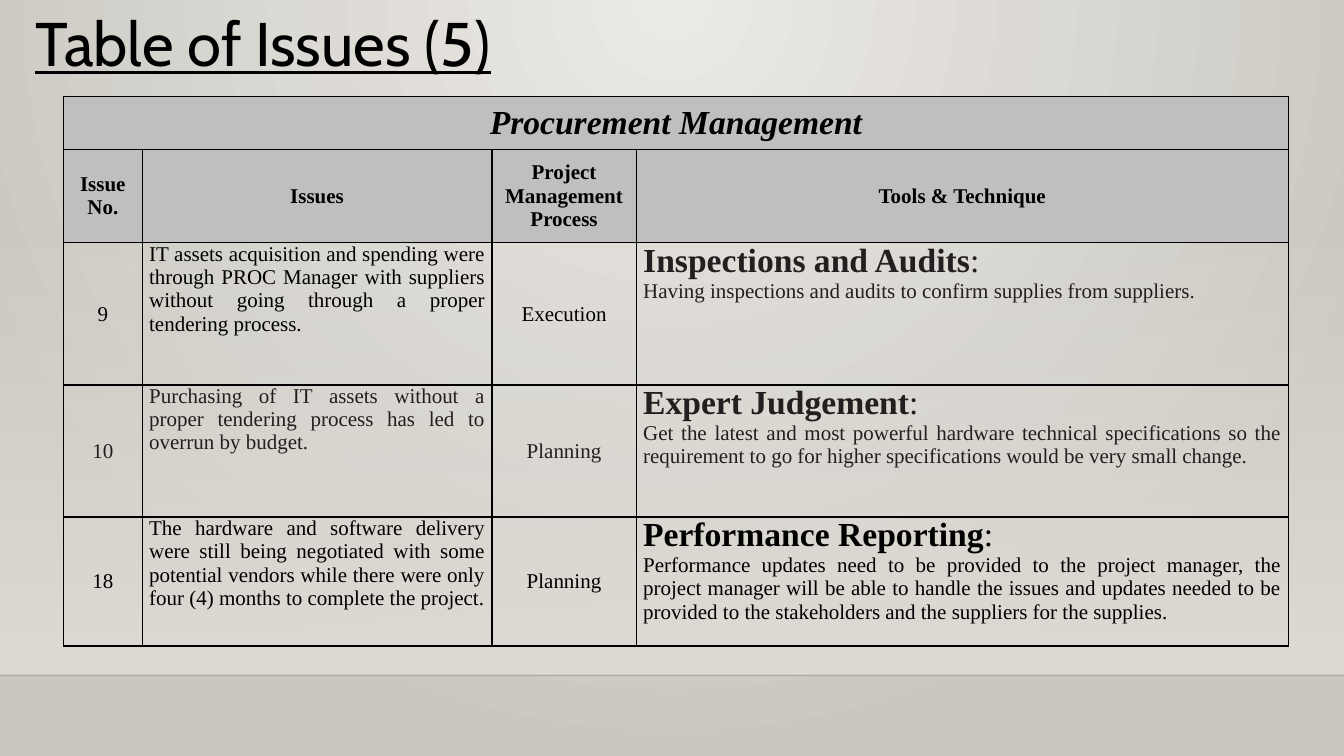
from lxml import etree
from pptx import Presentation
from pptx import util as u
from pptx.dml.color import RGBColor
from pptx.enum import shapes, text
from pptx.oxml import parse_xml
from pptx.oxml.ns import nsdecls, qn

BLACK = RGBColor(0x00, 0x00, 0x00)
CHARCOAL = RGBColor(0x23, 0x1F, 0x20)
HEADER_GREY = RGBColor(0xBF, 0xBF, 0xBF)
PALE = RGBColor(0xEC, 0xEA, 0xE7)
STONE = RGBColor(0xCA, 0xC7, 0xC1)
WALL = RGBColor(0xDF, 0xDB, 0xD5)
FLOOR_LINE = RGBColor(0x00, 0x00, 0x01)

BODY_FONT, TITLE_FONT = "Times New Roman", "Cabin"
BODY_SIZE, HEADING_SIZE, TITLE_SIZE = 15, 24, 44
WIDTH, HEIGHT = u.Inches(13.33), u.Inches(7.5)
FLOOR = u.Inches(6.7)

# Table grid, in inches
COLUMNS = [0.78, 3.47, 1.43, 6.47]
ROWS = [0.52, 0.93, 1.41, 1.31, 1.28]

SECTION = "Procurement Management"
HEADERS = ["Issue No.", "Issues", "Project Management Process", "Tools & Technique"]
# Number, issue, process, technique, explanation, main colour, technique colour
ISSUES = [
    ("9",
     "IT assets acquisition and spending were through PROC Manager with suppliers "
     "without going through a proper tendering process.",
     "Execution", "Inspections and Audits",
     "Having inspections and audits to confirm supplies from suppliers.",
     BLACK, CHARCOAL),
    ("10",
     "Purchasing of IT assets without a proper tendering process has led to "
     "overrun by budget.",
     "Planning", "Expert Judgement",
     "Get the latest and most powerful hardware technical specifications so the "
     "requirement to go for higher specifications would be very small change.",
     CHARCOAL, CHARCOAL),
    ("18",
     "The hardware and software delivery were still being negotiated with some "
     "potential vendors while there were only four (4) months to complete the project.",
     "Planning", "Performance Reporting",
     "Performance updates need to be provided to the project manager, the project "
     "manager will be able to handle the issues and updates needed to be provided "
     "to the stakeholders and the suppliers for the supplies.",
     BLACK, BLACK),
]


def set_gradient(fill, owner, stops, direction):
    """Fill with (position %, colour, opacity %) stops along the given direction."""
    fill.solid()
    stop_xml = "".join(
        f'<a:gs pos="{position * 1000}"><a:srgbClr val="{color}">'
        f'<a:alpha val="{opacity * 1000}"/></a:srgbClr></a:gs>'
        for position, color, opacity in stops)
    gradient = parse_xml(f'<a:gradFill {nsdecls("a")} rotWithShape="1">'
                         f'<a:gsLst>{stop_xml}</a:gsLst>{direction}</a:gradFill>')
    solid = next(owner.iter(qn("a:solidFill")))
    solid.getparent().replace(solid, gradient)


def add_backdrop(slide):
    glow = ('<a:path path="circle"><a:fillToRect l="43000" t="0" r="43000" '
            'b="100000"/></a:path>')
    set_gradient(slide.background.fill, slide.element.cSld,
                 [(0, PALE, 100), (100, STONE, 100)], glow)

    wall_top = u.Inches(2.21)
    wall = slide.shapes.add_shape(shapes.MSO_SHAPE.RECTANGLE, 0, wall_top,
                                  WIDTH, FLOOR - wall_top)
    wall.shadow.inherit = False
    wall.line.fill.background()
    set_gradient(wall.fill, wall.element.spPr,
                 [(0, WALL, 0), (100, WALL, 100)], '<a:lin ang="5400000" scaled="0"/>')

    floor = slide.shapes.add_connector(shapes.MSO_CONNECTOR.STRAIGHT,
                                       0, FLOOR, WIDTH, FLOOR)
    floor.line.color.rgb = FLOOR_LINE
    floor.line.width = u.Pt(1)
    floor_color = next(floor.element.spPr.iter(qn("a:srgbClr")))
    etree.SubElement(floor_color, qn("a:alpha"), val="20000")
    etree.SubElement(floor.element.spPr, qn("a:effectLst"))


def style_run(run, color, size=BODY_SIZE, bold=False, italic=False, font=BODY_FONT):
    run.font.name, run.font.size = font, u.Pt(size)
    run.font.bold, run.font.italic = bold, italic
    run.font.color.rgb = color


def add_title(slide, wording):
    title = slide.shapes.add_textbox(u.Inches(0.25), 0, u.Inches(11.16), u.Inches(0.84))
    frame = title.text_frame
    frame.word_wrap = True
    frame.auto_size = text.MSO_AUTO_SIZE.SHAPE_TO_FIT_TEXT
    frame.text = wording
    run = frame.paragraphs[0].runs[0]
    style_run(run, BLACK, TITLE_SIZE, font=TITLE_FONT)
    run.font.underline = True


def frame_cell(cell):
    """Set the margins, a clear fill and a thin black border on every side."""
    cell.margin_left = cell.margin_right = u.Inches(0.07)
    cell.margin_top = cell.margin_bottom = 0
    properties = cell._tc.get_or_add_tcPr()
    for side in ("lnL", "lnR", "lnT", "lnB"):
        properties.append(parse_xml(
            f'<a:{side} {nsdecls("a")} w="12700"><a:solidFill>'
            f'<a:srgbClr val="{BLACK}"/></a:solidFill></a:{side}>'))
    cell.fill.background()


def write_centred(cell, wording, color=BLACK, **style):
    cell.text_frame.text = wording
    cell.vertical_anchor = text.MSO_ANCHOR.MIDDLE
    paragraph = cell.text_frame.paragraphs[0]
    paragraph.alignment = text.PP_ALIGN.CENTER
    style_run(paragraph.runs[0], color, **style)


def write_header(cell, wording, **style):
    write_centred(cell, wording, bold=True, **style)
    cell.fill.solid()
    cell.fill.fore_color.rgb = HEADER_GREY


def write_justified(paragraph, wording, color):
    paragraph.text = wording
    paragraph.alignment = text.PP_ALIGN.JUSTIFY
    style_run(paragraph.runs[0], color)


def write_technique(cell, technique, explanation, color):
    heading = cell.text_frame.paragraphs[0]
    heading.alignment = text.PP_ALIGN.JUSTIFY
    for wording, bold in ((technique, True), (":", False)):
        run = heading.add_run()
        run.text = wording
        style_run(run, color, HEADING_SIZE, bold)
    write_justified(cell.text_frame.add_paragraph(), explanation, color)


def add_issue_table(slide):
    issue_table = slide.shapes.add_table(
        len(ROWS), len(COLUMNS), u.Inches(0.63), u.Inches(0.96),
        u.Inches(sum(COLUMNS)), u.Inches(sum(ROWS))).table
    issue_table.first_row = issue_table.horz_banding = False
    for column, width in zip(issue_table.columns, COLUMNS):
        column.width = u.Inches(width)
    for row, height in zip(issue_table.rows, ROWS):
        row.height = u.Inches(height)
    for cell in issue_table.iter_cells():
        frame_cell(cell)

    # Section and column headers
    section = issue_table.cell(0, 0)
    section.merge(issue_table.cell(0, len(COLUMNS) - 1))
    write_header(section, SECTION, size=HEADING_SIZE, italic=True)
    for column, header in enumerate(HEADERS):
        write_header(issue_table.cell(1, column), header)

    # One row per issue
    for row, issue in enumerate(ISSUES, start=2):
        number, problem, process, technique, explanation, color, technique_color = issue
        write_centred(issue_table.cell(row, 0), number, color)
        write_justified(issue_table.cell(row, 1).text_frame.paragraphs[0], problem, color)
        write_centred(issue_table.cell(row, 2), process, color)
        write_technique(issue_table.cell(row, 3), technique, explanation, technique_color)


def main():
    deck = Presentation()
    deck.slide_width, deck.slide_height = WIDTH, HEIGHT
    slide = deck.slides.add_slide(deck.slide_layouts[6])
    add_backdrop(slide)
    add_issue_table(slide)
    add_title(slide, "Table of Issues (5)")
    deck.save("out.pptx")


if __name__ == "__main__":
    main()
